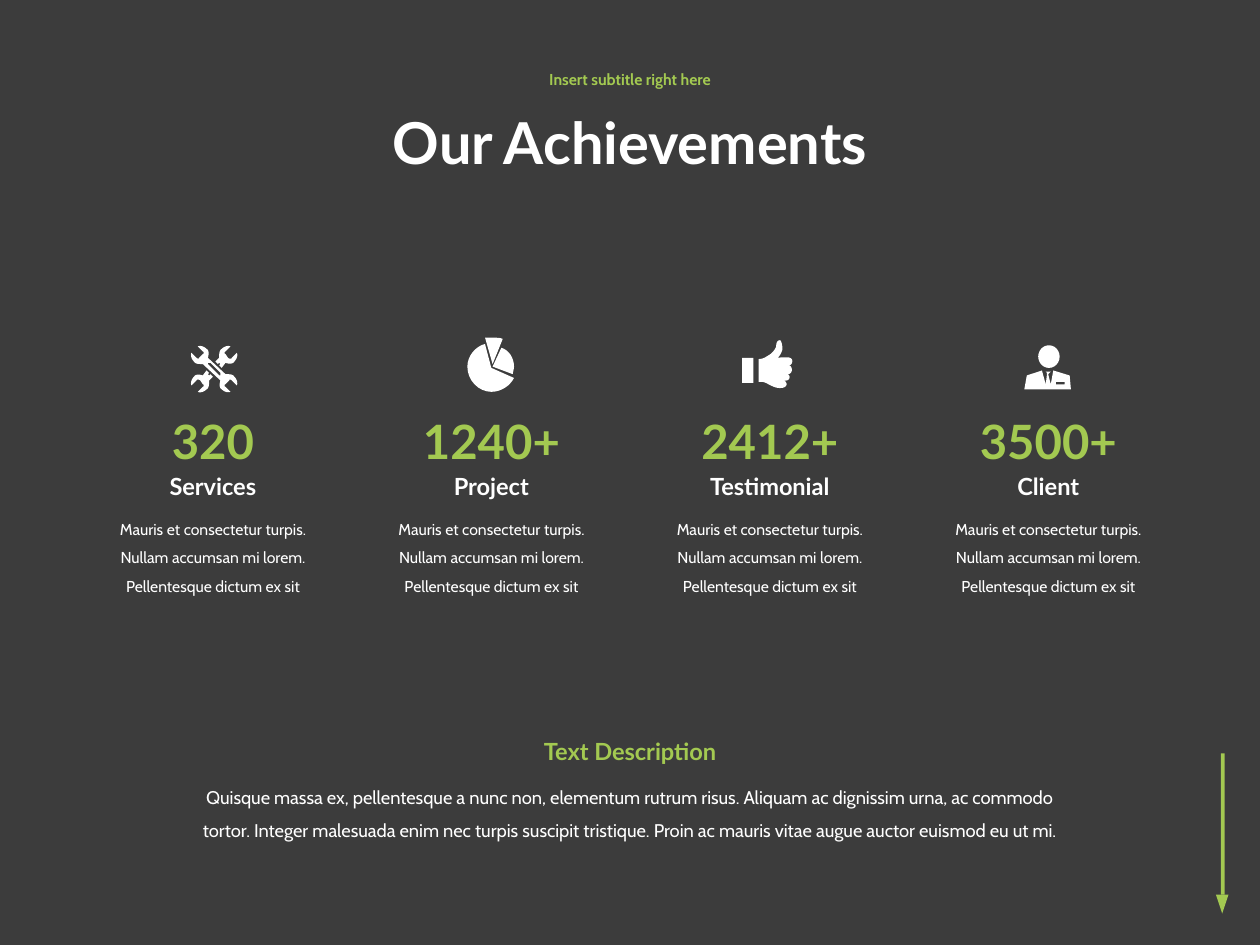
import pptx
import pptx.dml.color
import pptx.enum.shapes
import pptx.enum.text
import pptx.util

DARK = pptx.dml.color.RGBColor(0x3C, 0x3C, 0x3C)
GREEN = pptx.dml.color.RGBColor(0xA3, 0xC9, 0x51)
WHITE = pptx.dml.color.RGBColor(0xFF, 0xFF, 0xFF)
SHAPE = pptx.enum.shapes.MSO_SHAPE
Inches = pptx.util.Inches

MIDDLE = 5
FIRST_COLUMN, COLUMN_STEP = 1.69, 2.21
CURVE_STEPS = 8

ACHIEVEMENT_TEXT = ("Mauris et consectetur turpis. Nullam accumsan mi lorem. "
                    "Pellentesque dictum ex sit")
DESCRIPTION = ("Quisque massa ex, pellentesque a nunc non, elementum rutrum risus. "
               "Aliquam ac dignissim urna, ac commodo tortor. Integer malesuada enim "
               "nec turpis suscipit tristique. Proin ac mauris vitae augue auctor "
               "euismod eu ut mi.")

# Icon outlines are in hundredths of an inch from the icon's centre.
# Two numbers are a straight segment, six are a cubic curve.
HALF_WRENCH = [
    (16, 6), (15, 4, 12, 4, 9, 4), (-5, -9), (-4, -12, -4, -15, -6, -16),
    (-8, -18, -11, -19, -13, -18), (-9, -14), (-8, -14, -8, -12, -9, -12),
    (-12, -9), (-12, -8, -13, -8, -14, -9), (-18, -13),
    (-19, -11, -18, -8, -16, -6)]
WRENCH_SLOT = [(5, 5), (4, 5), (-5, -4), (-5, -5), (-4, -5), (-3, -5), (5, 3)]
WRENCH_HEAD = [
    (3, -4), (4, -5), (5, -4), (4, -3), (6, -1), (9, -5),
    (12, -4, 15, -4, 16, -6), (18, -8, 19, -11, 18, -13), (14, -9),
    (14, -8, 12, -8, 11, -9), (9, -12), (8, -12, 8, -14, 9, -14), (13, -18),
    (11, -19, 8, -18, 6, -16), (4, -15, 4, -12, 4, -9), (1, -6)]
PIE_RIGHT = [(1, 1), (17, 7), (17, 6, 18, 3, 18, 1), (18, -6, 14, -12, 8, -14)]
PIE_LARGE = [(0, 2), (-5, -17), (-13, -15, -19, -7, -19, 1),
             (-19, 12, -10, 21, 0, 21), (8, 21, 15, 16, 18, 10)]
PIE_TOP = [(1, -1), (9, -21), (7, -22, 4, -22, 0, -22), (-1, -22, -3, -22, -5, -22)]
THUMB = [
    (18, -5), (16, -6, 8, -5, 8, -5), (10, -6, 12, -11, 12, -12),
    (12, -15, 11, -19, 10, -19), (7, -19, 7, -15, 7, -14),
    (6, -11, 3, -8, 1, -7), (-1, -6, -3, -4, -7, -4), (-7, 14),
    (-5, 14, -3, 14, -1, 15), (3, 17, 6, 19, 10, 19), (17, 19, 16, 14, 13, 13),
    (18, 14, 19, 9, 16, 8), (21, 8, 20, 1, 17, 1), (20, 1, 21, -4, 18, -5)]
SUIT = [(17, 7), (4, 3), (2, 14), (0, 6), (1, 5), (2, 4), (-2, 4), (-1, 5),
        (-1, 6), (-2, 14), (-5, 3), (-17, 7), (-19, 18), (18, 18)]
SUIT_POCKET = [(13, 14), (6, 14), (6, 12), (13, 12)]


def half_turn(outline):
    return [tuple(-number for number in segment) for segment in outline]


def flatten(outline):
    """Turn an outline with curves into a list of points."""
    points = [outline[0]]
    for segment in outline[1:]:
        if len(segment) == 2:
            points.append(segment)
            continue
        start, controls = points[-1], (segment[:2], segment[2:4], segment[4:])
        for step in range(1, CURVE_STEPS + 1):
            t = step / CURVE_STEPS
            weights = ((1 - t) ** 3, 3 * t * (1 - t) ** 2, 3 * t * t * (1 - t), t ** 3)
            points.append(tuple(
                sum(weight * point[axis] for weight, point in zip(weights, (start, *controls)))
                for axis in (0, 1)))
    return points


def paint(shape, color):
    shape.fill.solid()
    shape.fill.fore_color.rgb = color
    shape.line.fill.background()
    shape.shadow.inherit = False


def add_preset(shapes, kind, left, top, width, height, color):
    shape = shapes.add_shape(kind, Inches(left), Inches(top), Inches(width), Inches(height))
    paint(shape, color)
    return shape


def add_outline(shapes, center, *outlines):
    """Draw one shape; outlines after the first are holes."""
    contours = [[(Inches(center[0] + x / 100), Inches(center[1] + y / 100))
                 for x, y in flatten(outline)] for outline in outlines]
    builder = shapes.build_freeform(*contours[0][0])
    builder.add_line_segments(contours[0][1:])
    for hole in contours[1:]:
        builder.move_to(*hole[0])
        builder.add_line_segments(hole[1:])
    paint(builder.convert_to_shape(), WHITE)


def add_tools_icon(shapes, center):
    add_outline(shapes, center, WRENCH_HEAD)
    add_outline(shapes, center, half_turn(WRENCH_HEAD))
    add_outline(shapes, center, HALF_WRENCH + half_turn(HALF_WRENCH), WRENCH_SLOT)


def add_pie_icon(shapes, center):
    for slice_outline in (PIE_RIGHT, PIE_LARGE, PIE_TOP):
        add_outline(shapes, center, slice_outline)


def add_thumb_icon(shapes, center):
    add_outline(shapes, center, THUMB)
    add_preset(shapes, SHAPE.RECTANGLE, center[0] - 0.2, center[1] - 0.05, 0.09, 0.2, WHITE)


def add_client_icon(shapes, center):
    add_outline(shapes, center, SUIT, SUIT_POCKET)
    add_preset(shapes, SHAPE.OVAL, center[0] - 0.08, center[1] - 0.17, 0.17, 0.18, WHITE)


def write(shape, text, font_name, size, color, bold=False, spacing=1.0):
    shape.text_frame.text = text
    paragraph = shape.text_frame.paragraphs[0]
    paragraph.alignment = pptx.enum.text.PP_ALIGN.CENTER
    paragraph.line_spacing = spacing
    paragraph.space_before = pptx.util.Pt(0)
    font = paragraph.font
    font.name, font.size, font.bold = font_name, pptx.util.Pt(size), bold
    font.color.rgb = color


def add_label(slide, center, top, width, height, *style, **options):
    box = slide.shapes.add_textbox(
        Inches(center - width / 2), Inches(top), Inches(width), Inches(height))
    box.text_frame.word_wrap = True
    write(box, *style, **options)


def fill_placeholder(shape, top, height, *style):
    width = 5.63
    shape.left, shape.top = Inches(MIDDLE - width / 2), Inches(top)
    shape.width, shape.height = Inches(width), Inches(height)
    shape.text_frame.auto_size = pptx.enum.text.MSO_AUTO_SIZE.NONE
    shape.text_frame.vertical_anchor = pptx.enum.text.MSO_ANCHOR.MIDDLE
    write(shape, *style, bold=True, spacing=0.9)


def add_achievement(slide, column, draw_icon, icon_center, number, name):
    center = FIRST_COLUMN + column * COLUMN_STEP
    draw_icon(slide.shapes.add_group_shape().shapes, icon_center)
    add_label(slide, center, 3.22, 1.76, 0.56, number, "Lato", 27, GREEN, bold=True)
    add_label(slide, center, 3.7, 1.83, 0.33, name, "Lato", 13.5, WHITE, bold=True)
    add_label(slide, center, 4, 1.96, 0.76, ACHIEVEMENT_TEXT, "Cabin", 9, WHITE, spacing=1.5)


def add_down_arrow(slide):
    shapes = slide.shapes.add_group_shape().shapes
    add_preset(shapes, SHAPE.RECTANGLE, 9.69, 5.98, 0.03, 1.12, GREEN)
    head = add_preset(shapes, SHAPE.ISOSCELES_TRIANGLE, 9.65, 7.1, 0.1, 0.15, GREEN)
    head.rotation = 180


def main():
    presentation = pptx.Presentation()
    presentation.slide_width, presentation.slide_height = Inches(10), Inches(7.5)
    slide = presentation.slides.add_slide(presentation.slide_layouts[0])
    slide.background.fill.solid()
    slide.background.fill.fore_color.rgb = DARK

    add_down_arrow(slide)
    fill_placeholder(slide.shapes.title, 0.64, 1.03, "Our Achievements", "Lato", 33, WHITE)
    fill_placeholder(slide.placeholders[1], 0.45, 0.38,
                     "Insert subtitle right here", "Cabin", 9, GREEN)

    achievements = [
        (add_tools_icon, (1.7, 2.93), "320", "Services"),
        (add_pie_icon, (3.9, 2.9), "1240+", "Project"),
        (add_thumb_icon, (6.09, 2.89), "2412+", "Testimonial"),
        (add_client_icon, (8.32, 2.91), "3500+", "Client")]
    for column, achievement in enumerate(achievements):
        add_achievement(slide, column, *achievement)

    add_label(slide, MIDDLE, 5.8, 2.19, 0.33, "Text Description", "Lato", 13.5, GREEN, bold=True)
    add_label(slide, MIDDLE, 6.1, 7.12, 0.6, DESCRIPTION, "Cabin", 10.5, WHITE, spacing=1.5)
    presentation.save("out.pptx")


if __name__ == "__main__":
    main()
